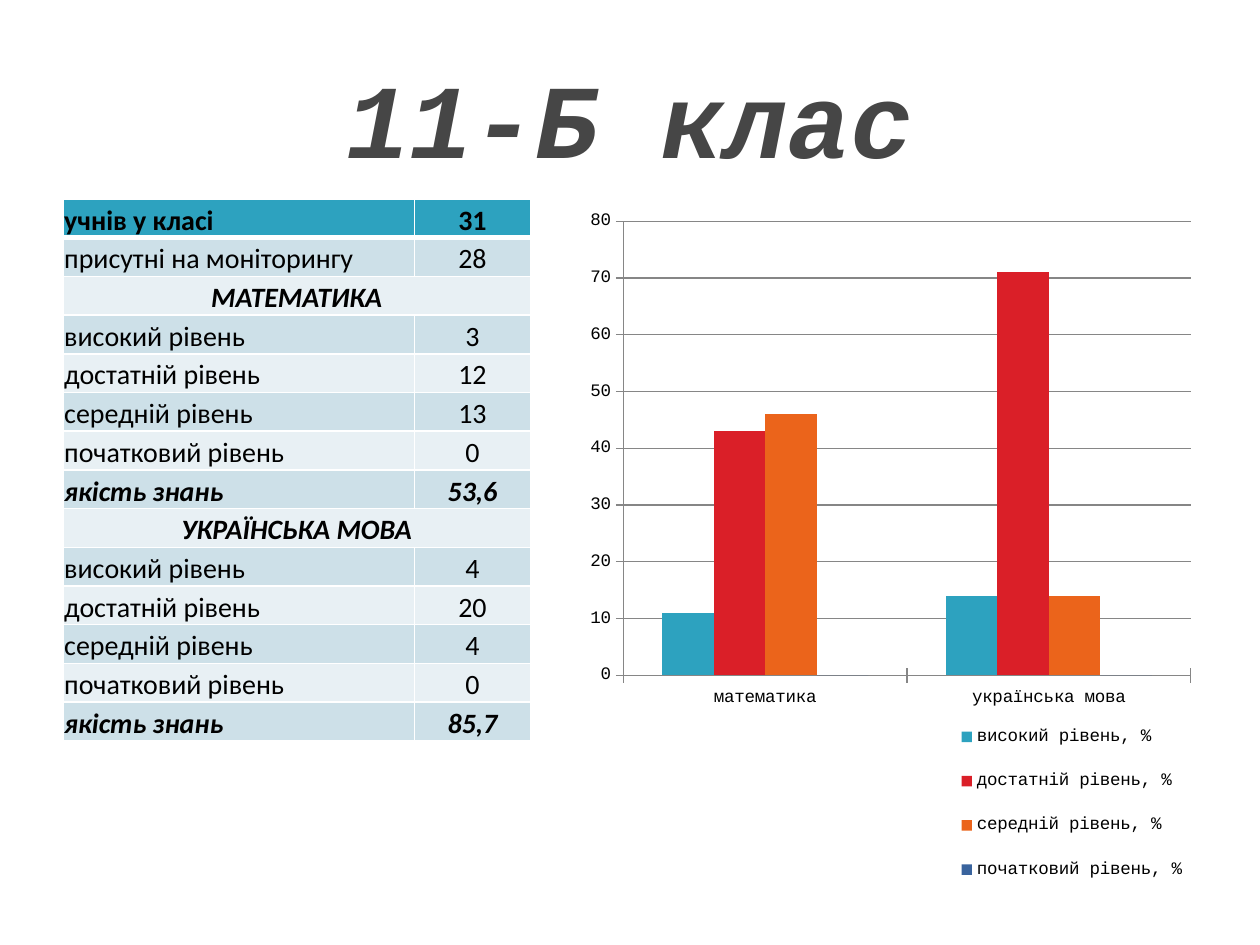
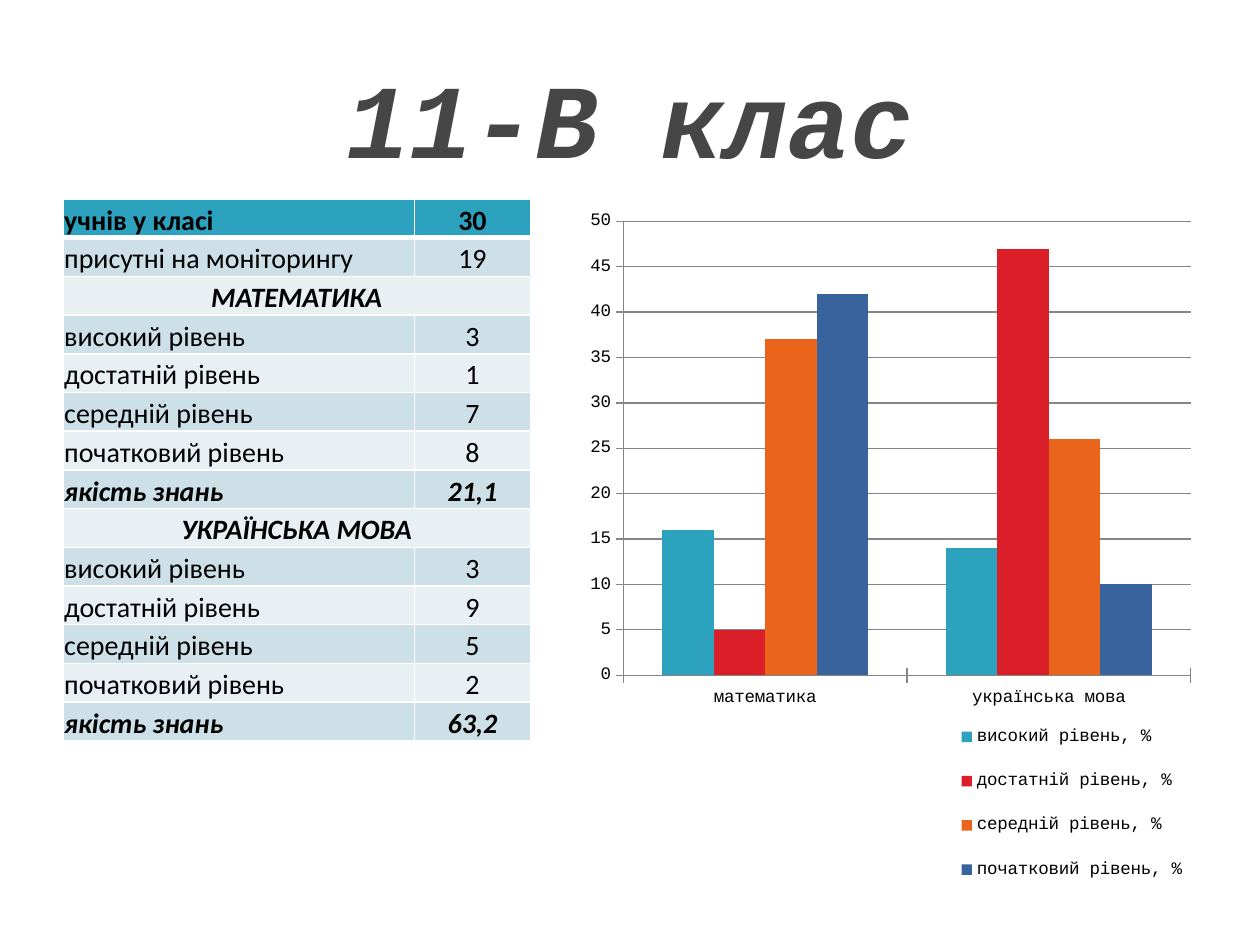
from dataclasses import dataclass
from typing import NamedTuple

from pptx import Presentation
from pptx.chart.data import CategoryChartData
from pptx.dml.color import RGBColor as Rgb
from pptx.enum.chart import XL_CHART_TYPE as ChartKind
from pptx.enum.chart import XL_LEGEND_POSITION as LegendSide
from pptx.enum.chart import XL_TICK_MARK as Tick
from pptx.enum.text import MSO_ANCHOR as Anchor
from pptx.enum.text import PP_ALIGN as Align
from pptx.oxml.ns import qn
from pptx.oxml.xmlchemy import OxmlElement as new_element
from pptx.util import Emu, Pt

EMU_PER_PX = 9144  # 100 px to the inch


def px(length: float) -> Emu:
    return Emu(round(length * EMU_PER_PX))


# Theme and places
@dataclass(frozen=True)
class Theme:
    title_font: str = "Courier New"
    table_font: str = "Calibri"
    title_size: int = 60
    table_size: int = 16
    chart_size: int = 10
    title_color: str = "464646"
    text_color: str = "000000"
    header_fill: str = "2DA2BF"
    band_fills: tuple[str, str] = ("CDE0E8", "E8F0F4")
    border_color: str = "FFFFFF"
    axis_color: str = "868686"
    series_colors: tuple[str, ...] = ("2DA2BF", "DA1F28", "EB641B", "39639D")


class Area(NamedTuple):
    left: float
    top: float
    width: float
    height: float

    def emu(self) -> list[Emu]:
        return [px(length) for length in self]


THEME = Theme()
TITLE_AREA = Area(50, 30, 900, 125)
TABLE_AREA = Area(50, 158, 371, 430)
CHART_AREA = Area(453, 158, 497, 571)
NUMBER_COLUMN = 92
# Shares of the chart area
PLOT_SHARE = Area(0.084, 0.031, 0.906, 0.631)
LEGEND_SHARE = Area(0.61, 0.7, 0.38, 0.28)

LEVELS = ("високий рівень", "достатній рівень", "середній рівень", "початковий рівень")


# Content
class Subject(NamedTuple):
    name: str
    counts: tuple[int, ...]
    quality: str
    percents: tuple[int, ...]


class SchoolClass(NamedTuple):
    title: str
    pupils: int
    present: int
    subjects: tuple[Subject, ...]
    axis_max: int
    axis_step: int


class Row(NamedTuple):
    label: str
    value: str = ""
    bold: bool = False
    italic: bool = False


CLASSES = (
    SchoolClass("11-Б клас", 31, 28, (
        Subject("математика", (3, 12, 13, 0), "53,6", (11, 43, 46, 0)),
        Subject("українська мова", (4, 20, 4, 0), "85,7", (14, 71, 14, 0)),
    ), 80, 10),
    SchoolClass("11-В клас", 30, 19, (
        Subject("математика", (3, 1, 7, 8), "21,1", (16, 5, 37, 42)),
        Subject("українська мова", (3, 9, 5, 2), "63,2", (14, 47, 26, 10)),
    ), 50, 5),
)


def set_font(font, name: str, size: int, color: str, bold=False, italic=False) -> None:
    font.name, font.size = name, Pt(size)
    font.bold, font.italic = bold, italic
    font.color.rgb = Rgb.from_string(color)


# Title
def add_title(page, text: str) -> None:
    frame = page.shapes.add_textbox(*TITLE_AREA.emu()).text_frame
    frame.word_wrap = True
    frame.vertical_anchor = Anchor.MIDDLE
    para = frame.paragraphs[0]
    para.text = text
    para.alignment = Align.CENTER
    set_font(para.font, THEME.title_font, THEME.title_size, THEME.title_color, True, True)


# Table
def table_rows(school_class: SchoolClass) -> list[Row]:
    rows = [
        Row("учнів у класі", str(school_class.pupils), bold=True),
        Row("присутні на моніторингу", str(school_class.present)),
    ]
    for subject in school_class.subjects:
        rows.append(Row(subject.name.upper(), bold=True, italic=True))
        rows += [Row(level, str(count)) for level, count in zip(LEVELS, subject.counts)]
        rows.append(Row("якість знань", subject.quality, True, True))
    return rows


def add_borders(cell, widths: dict[str, int]) -> None:
    properties = cell._tc.get_or_add_tcPr()
    for side, width in widths.items():
        line = new_element(f"a:ln{side}")
        line.set("w", str(Pt(width)))
        fill, color = new_element("a:solidFill"), new_element("a:srgbClr")
        color.set("val", THEME.border_color)
        fill.append(color)
        line.append(fill)
        properties.append(line)


def style_cell(cell, row: Row, row_index: int, text: str, centred: bool) -> None:
    cell.margin_left = cell.margin_right = cell.margin_top = px(1)
    cell.margin_bottom = 0
    cell.vertical_anchor = Anchor.BOTTOM
    # The line under the header row is thicker
    add_borders(cell, {"L": 1, "R": 1, "T": 3 if row_index == 1 else 1,
                       "B": 3 if row_index == 0 else 1})
    fill = THEME.band_fills[(row_index - 1) % 2] if row_index else THEME.header_fill
    cell.fill.solid()
    cell.fill.fore_color.rgb = Rgb.from_string(fill)
    para = cell.text_frame.paragraphs[0]
    para.text = text
    para.alignment = Align.CENTER if centred else Align.LEFT
    set_font(para.font, THEME.table_font, THEME.table_size, THEME.text_color,
             row.bold, row.italic)


def add_results_table(page, rows: list[Row]) -> None:
    table = page.shapes.add_table(len(rows), 2, *TABLE_AREA.emu()).table
    table.first_row = table.horz_banding = False
    table.columns[0].width = px(TABLE_AREA.width - NUMBER_COLUMN)
    table.columns[1].width = px(NUMBER_COLUMN)
    for index, row in enumerate(rows):
        table.rows[index].height = px(TABLE_AREA.height / len(rows))
        label, value = table.cell(index, 0), table.cell(index, 1)
        is_heading = not row.value
        style_cell(label, row, index, row.label, is_heading)
        style_cell(value, row, index, row.value, True)
        if is_heading:
            label.merge(value)


# Chart
def set_layout(parent, index: int, share: Area, inner: bool = False) -> None:
    for old_layout in parent.findall(qn("c:layout")):
        parent.remove(old_layout)
    settings = [("layoutTarget", "inner")] if inner else []
    settings += [("xMode", "edge"), ("yMode", "edge")]
    settings += list(zip("xywh", map(str, share)))
    layout, manual = new_element("c:layout"), new_element("c:manualLayout")
    for name, value in settings:
        setting = new_element(f"c:{name}")
        setting.set("val", value)
        manual.append(setting)
    layout.append(manual)
    parent.insert(index, layout)


def add_levels_chart(page, school_class: SchoolClass) -> None:
    data = CategoryChartData()
    data.categories = [subject.name for subject in school_class.subjects]
    for index, level in enumerate(LEVELS):
        data.add_series(f"{level}, %",
                        [subject.percents[index] for subject in school_class.subjects])
    chart = page.shapes.add_chart(ChartKind.COLUMN_CLUSTERED, *CHART_AREA.emu(), data).chart
    chart.has_title = False
    set_font(chart.font, THEME.title_font, THEME.chart_size, THEME.text_color)

    plot = chart.plots[0]
    plot.gap_width, plot.overlap = 150, 0
    plot.vary_by_categories = False
    for series, color in zip(plot.series, THEME.series_colors):
        series.format.fill.solid()
        series.format.fill.fore_color.rgb = Rgb.from_string(color)

    values = chart.value_axis
    values.minimum_scale, values.maximum_scale = 0, school_class.axis_max
    values.major_unit = school_class.axis_step
    values.has_major_gridlines = True
    for axis in (chart.category_axis, values):
        axis.major_tick_mark, axis.minor_tick_mark = Tick.CROSS, Tick.NONE
    for part in (chart.category_axis, values, values.major_gridlines):
        part.format.line.width = Pt(0.75)
        part.format.line.color.rgb = Rgb.from_string(THEME.axis_color)

    chart.has_legend = True
    chart.legend.position = LegendSide.RIGHT
    chart.legend.include_in_layout = False
    chart_root = chart.element.find(qn("c:chart"))
    set_layout(chart_root.find(qn("c:plotArea")), 0, PLOT_SHARE, inner=True)
    set_layout(chart_root.find(qn("c:legend")), 1, LEGEND_SHARE)


def main() -> None:
    deck = Presentation()
    deck.slide_width, deck.slide_height = px(1000), px(750)
    blank = deck.slide_layouts[6]
    for school_class in CLASSES:
        page = deck.slides.add_slide(blank)
        add_title(page, school_class.title)
        add_results_table(page, table_rows(school_class))
        add_levels_chart(page, school_class)
    deck.save("out.pptx")


if __name__ == "__main__":
    main()
